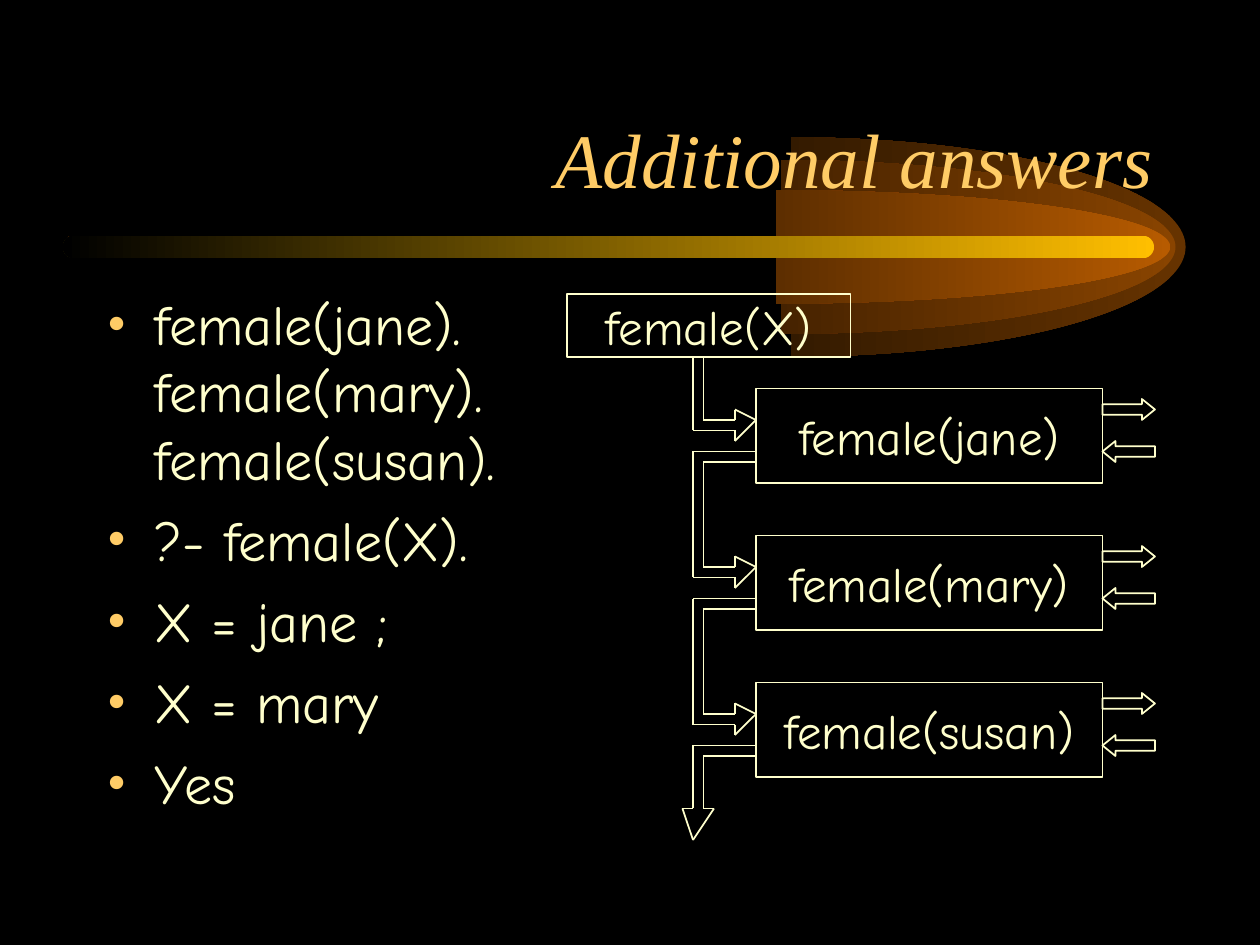
import copy
import math
import pptx
import pptx.util
import pptx.dml.color
import pptx.enum.shapes
import pptx.enum.text
import pptx.oxml
import pptx.oxml.ns
import lxml.etree

Inches = pptx.util.Inches
Pt = pptx.util.Pt
RGBColor = pptx.dml.color.RGBColor
SHAPE = pptx.enum.shapes.MSO_SHAPE
ALIGN = pptx.enum.text.PP_ALIGN
ANCHOR = pptx.enum.text.MSO_ANCHOR
qn = pptx.oxml.ns.qn

BLACK = RGBColor(0x00, 0x00, 0x00)
BROWN = RGBColor(0x66, 0x33, 0x00)
RUST = RGBColor(0x89, 0x44, 0x00)
COPPER = RGBColor(0xB7, 0x5B, 0x00)
GOLD = RGBColor(0xFF, 0xBF, 0x00)
ORANGE = RGBColor(0xFF, 0xCC, 0x66)
CREAM = RGBColor(0xFF, 0xFF, 0xCC)

TITLE_FORMAT = {"name": "Times New Roman", "size": Pt(44), "italic": True}
BODY_FORMAT = {"name": "Comic Neue", "size": Pt(32)}
LABEL_FORMAT = {"name": "Comic Neue", "size": Pt(28)}
GRID = Inches(1) / 12  # the diagram sits on a grid of twelfths of an inch

deck = pptx.Presentation()
deck.slide_width, deck.slide_height = Inches(10), Inches(7.5)
page = deck.slides.add_slide(deck.slide_layouts[6])
page.background.fill.solid()
page.background.fill.fore_color.rgb = BLACK


def write(para, text, format_values, color):
    para.text = text
    for span in para.runs:
        for name, value in format_values.items():
            setattr(span.font, name, value)
        span.font.color.rgb = color


def draw_path(points):
    for start, end in zip(points, points[1:]):
        line = page.shapes.add_connector(
            pptx.enum.shapes.MSO_CONNECTOR.STRAIGHT,
            *(round(value * GRID) for value in start + end))
        line.line.color.rgb = CREAM
        line.line.width = Pt(1)
        lxml.etree.SubElement(line._element.spPr, qn("a:effectLst"))


# Comet: three nested half ellipses, each of three curves of 60 degrees
MIDDLE, RADIUS = 1.96, 3.13
REACH = 4 / 3 * math.tan(math.radians(15))
comet = []
for center, height, color in [(6.28, 0.87, BROWN), (6.2, 0.69, RUST),
                              (6.16, 0.45, COPPER)]:
    units = [(0, -1)]
    for angle in (-90, -30, 30):
        first, last = math.radians(angle), math.radians(angle + 60)
        units += [
            (math.cos(first) - REACH * math.sin(first),
             math.sin(first) + REACH * math.cos(first)),
            (math.cos(last) + REACH * math.sin(last),
             math.sin(last) - REACH * math.cos(last)),
            (math.cos(last), math.sin(last)),
        ]
    points = [(Inches(center + RADIUS * x), Inches(MIDDLE + height * y))
              for x, y in units + [(0, 0)]]
    builder = page.shapes.build_freeform(*points[0])
    builder.add_line_segments(points[1:], close=True)
    ellipse = builder.convert_to_shape()

    # Turn each three segments into one curve
    outline = ellipse._element.find(".//" + qn("a:path"))
    segments = outline.findall(qn("a:lnTo"))
    for index in (0, 3, 6):
        curve = lxml.etree.Element(qn("a:cubicBezTo"))
        segments[index].addprevious(curve)
        for segment in segments[index:index + 3]:
            curve.append(segment[0])
            outline.remove(segment)

    # Frame the whole ellipse, so the gradient spans both halves
    for point in outline.iter(qn("a:pt")):
        point.set("x", str(int(point.get("x")) + Inches(RADIUS)))
    outline.set("w", str(Inches(2 * RADIUS)))
    ellipse.left, ellipse.width = Inches(center - RADIUS), Inches(2 * RADIUS)
    rim = copy.deepcopy(outline)
    rim.set("fill", "none")
    for part in rim[-2:]:
        rim.remove(part)
    outline.addnext(rim)
    comet.append((ellipse, color))

bar = page.shapes.add_shape(SHAPE.ROUNDED_RECTANGLE, Inches(0.5), Inches(1.87),
                            Inches(8.66), Inches(0.18))
bar.adjustments[0] = 0.5
comet.append((bar, GOLD))
for shape, color in comet:
    shape.shadow.inherit = False
    shape.line.fill.background()
    shape.fill.gradient()
    shape.fill.gradient_angle = 180
    for stop, stop_color in zip(shape.fill.gradient_stops, (color, BLACK)):
        stop.color.rgb = stop_color

# Title
title = page.shapes.add_textbox(Inches(0.75), Inches(0.42), Inches(8.5), Inches(1.25))
title.text_frame.word_wrap = True
title.text_frame.vertical_anchor = ANCHOR.BOTTOM
title.text_frame.paragraphs[0].alignment = ALIGN.RIGHT
write(title.text_frame.paragraphs[0], "Additional answers", TITLE_FORMAT, ORANGE)

# Bulleted program and query
body = page.shapes.add_textbox(Inches(0.75), Inches(2.25), Inches(8.5), Inches(4.5))
body.text_frame.word_wrap = True
items = ["female(jane).\nfemale(mary).\nfemale(susan).", "?- female(X).",
         "X = jane ;", "X = mary", "Yes"]
for index, item in enumerate(items):
    para = body.text_frame.add_paragraph() if index else body.text_frame.paragraphs[0]
    write(para, item, BODY_FORMAT, CREAM)
    para.space_before = Pt(8)
    properties = para._p.get_or_add_pPr()
    properties.set("marL", str(Inches(0.38)))
    properties.set("indent", str(-Inches(0.38)))
    bullet_color = lxml.etree.SubElement(properties, qn("a:buClr"))
    lxml.etree.SubElement(bullet_color, qn("a:srgbClr")).set("val", str(ORANGE))
    lxml.etree.SubElement(properties, qn("a:buFont")).set("typeface", "Times New Roman")
    lxml.etree.SubElement(properties, qn("a:buChar")).set("char", "•")

# Clause boxes and their small arrows, in grid units
tops = [37, 51, 65]
outlined = [(SHAPE.FLOWCHART_PROCESS, 54, 28, 27, 6, "female(X)")]
for top, name in zip(tops, ["jane", "mary", "susan"]):
    outlined += [
        (SHAPE.FLOWCHART_PROCESS, 72, top, 33, 9, f"female({name})"),
        (SHAPE.RIGHT_ARROW, 105, top + 1, 5, 2, ""),
        (SHAPE.LEFT_ARROW, 105, top + 5, 5, 2, ""),
    ]
for kind, left, top, width, height, label in outlined:
    box = page.shapes.add_shape(
        kind, *(round(value * GRID) for value in (left, top, width, height)))
    box.shadow.inherit = False
    box.fill.background()
    box.line.color.rgb = CREAM
    box.line.width = Pt(1)
    if label:
        box.text_frame.word_wrap = False
        box.text_frame.vertical_anchor = ANCHOR.MIDDLE
        box.text_frame.paragraphs[0].alignment = ALIGN.CENTER
        write(box.text_frame.paragraphs[0], label, LABEL_FORMAT, CREAM)
    else:
        box.adjustments[1] = 0.62

# Elbow arrows into each clause box; later ones leave the box above
OUTER, INNER, HEAD, EDGE = 66, 67, 70, 72
outer_start, inner_start = [(OUTER, 34)], [(INNER, 34)]
for top in tops:
    tip = (EDGE, top + 3)
    draw_path(outer_start + [(OUTER, top + 4), (HEAD, top + 4), (HEAD, top + 5), tip])
    draw_path(inner_start + [(INNER, top + 3), (HEAD, top + 3), (HEAD, top + 2), tip])
    outer_start = [(EDGE, top + 6), (OUTER, top + 6)]
    inner_start = [(EDGE, top + 7), (INNER, top + 7)]

# Failure arrow leaving the last box downwards
NECK, POINT = 77, (66, 80)
draw_path(outer_start + [(OUTER, NECK), (65, NECK), POINT])
draw_path(inner_start + [(INNER, NECK), (68, NECK), POINT])

deck.save("out.pptx")
